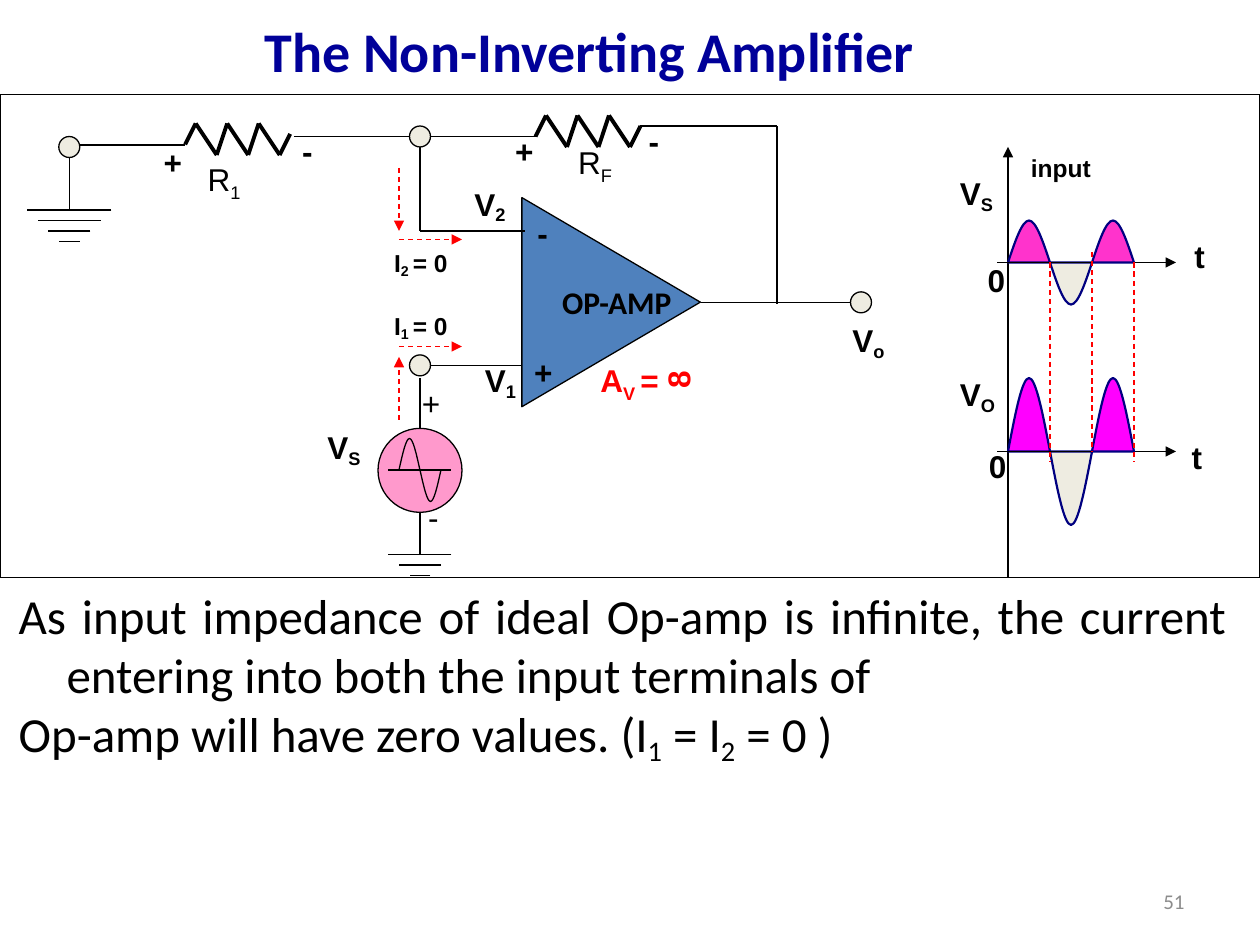
"""Build the slide on the non-inverting amplifier with its circuit and waveforms."""
import pptx
import pptx.dml.color
import pptx.enum.dml
import pptx.enum.shapes
import pptx.enum.text
import pptx.oxml.ns
import pptx.util
from lxml import etree

Inches = pptx.util.Inches
qn = pptx.oxml.ns.qn
SHAPES = pptx.enum.shapes.MSO_SHAPE
ALIGN = pptx.enum.text.PP_ALIGN
ANCHOR = pptx.enum.text.MSO_ANCHOR
GROW = pptx.enum.text.MSO_AUTO_SIZE.SHAPE_TO_FIT_TEXT
COLORS = {
    "ink": "000000", "title": "000099", "red": "FF0000", "number": "8C8C8C",
    "amplifier": "4F81BD", "cream": "EEECE1", "source": "FF99CC",
    "input": "FF33CC", "output": "FF00FF", "wave": "000080",
}


def rgb(name):
    return pptx.dml.color.RGBColor.from_string(COLORS[name])


def on_grid(length):
    """Return the length, moved to the twelfth of an inch it was rounded from."""
    nearest = round(length * 12) / 12
    return Inches(nearest if abs(nearest - length) < 0.006 else length)


def apply_format(target, values):
    for key, value in values.items():
        setattr(target, key, value)


def style(shape, fill=None, line="ink", weight=0.75):
    shape.shadow.inherit = False
    if fill:
        shape.fill.solid()
        shape.fill.fore_color.rgb = rgb(fill)
    else:
        shape.fill.background()
    shape.line.color.rgb = rgb(line)
    shape.line.width = pptx.util.Pt(weight)


def add_preset(slide, kind, left, top, width, height, fill=None):
    shape = slide.shapes.add_shape(kind, *map(on_grid, (left, top, width, height)))
    style(shape, fill)
    return shape


def add_node(slide, x, y):
    add_preset(slide, SHAPES.OVAL, x - 1 / 12, y - 1 / 12, 0.17, 0.17, "cream")


def add_wire(slide, start, end, color="ink", weight=0.75, dashed=False, arrow=False):
    wire = slide.shapes.add_connector(
        pptx.enum.shapes.MSO_CONNECTOR.STRAIGHT, *map(on_grid, (*start, *end)))
    wire.line.color.rgb = rgb(color)
    wire.line.width = pptx.util.Pt(weight)
    if dashed:
        wire.line.dash_style = pptx.enum.dml.MSO_LINE.DASH
    properties = wire._element.spPr
    if arrow:
        etree.SubElement(properties.find(qn("a:ln")), qn("a:tailEnd"), type="triangle")
    etree.SubElement(properties, qn("a:effectLst"))


def add_resistor(slide, left, top):
    xs = (0, 1, 3, 4, 6, 7, 9, 10)
    ys = (2, 0, 3, 0, 3, 0, 3, 1)
    corners = [(left + x / 12, top + y / 12) for x, y in zip(xs, ys)]
    for start, end in zip(corners, corners[1:]):
        add_wire(slide, start, end, weight=2.25)


def add_ground(slide, x, top, bars):
    for row in range(bars):
        half, y = (bars - row) / 12, top + row / 12
        add_wire(slide, (x + half, y), (x - half, y))


def add_lobe(slide, left, base, width, height, fill=None, line="wave", weight=1.25):
    """Draw half a wave with two curves, upward when height is positive."""
    x, y, w, h = map(on_grid, (left, base, width, height))
    builder = slide.shapes.build_freeform(x, y)
    builder.add_line_segments([(x + w / 2, y - h), (x + w, y)], close=fill is not None)
    lobe = builder.convert_to_shape()
    foot, peak = max(h, 0), max(-h, 0)
    middle = (foot + peak) / 2
    controls = [((w / 6, middle), (w / 3, peak)), ((w * 2 / 3, peak), (w * 5 / 6, middle))]
    for segment, handles in zip(list(lobe._element.iter(qn("a:lnTo"))), controls):
        segment.tag = qn("a:cubicBezTo")
        for index, (px, py) in enumerate(handles):
            handle = etree.Element(qn("a:pt"), x=str(round(px)), y=str(round(py)))
            segment.insert(index, handle)
    style(lobe, fill, line, weight)


def write(paragraph, text, font, drop=-18):
    """Fill a paragraph; parts between bars become subscripts."""
    for index, part in enumerate(text.split("|")):
        if part:
            run = paragraph.add_run()
            run.text = part
            apply_format(run.font, {k: v for k, v in font.items() if k != "color"})
            run.font.color.rgb = rgb(font["color"])
            if index % 2:
                run._r.get_or_add_rPr().set("baseline", str(drop * 1000))


def font_of(size, name="Arial", bold=True, color="ink"):
    return {"size": pptx.util.Pt(size), "name": name, "bold": bold, "color": color}


def add_text(slide, box, lines, font, drop=-18, frame=None, align=ALIGN.LEFT, hanging=0):
    textbox = slide.shapes.add_textbox(*map(on_grid, box))
    text_frame = textbox.text_frame
    apply_format(text_frame, {"word_wrap": True, **(frame or {})})
    for index, line in enumerate(lines):
        paragraph = text_frame.add_paragraph() if index else text_frame.paragraphs[0]
        paragraph.alignment = align
        if hanging:
            properties = paragraph._p.get_or_add_pPr()
            properties.set("marL", str(Inches(hanging)))
            properties.set("indent", str(-Inches(hanging)))
        write(paragraph, line, font, drop)
    return textbox


def add_label(slide, text, left, top, width, size=18, bold=True, color="ink", drop=-18):
    add_text(slide, (left, top, width, 0.33 if size < 18 else 0.4), [text],
             font_of(size, bold=bold, color=color), drop,
             {"word_wrap": False, "auto_size": GROW})


def add_amplifier(slide):
    amplifier = add_preset(
        slide, SHAPES.ISOSCELES_TRIANGLE, 4.02, 1.69, 1.66, 1.42, "amplifier")
    amplifier.rotation = 90
    frame = amplifier.text_frame
    apply_format(frame, {"word_wrap": False, "vertical_anchor": ANCHOR.MIDDLE})
    for key, value in {"rot": "10800000", "vert": "eaVert"}.items():
        frame._txBody.bodyPr.set(key, value)
    name = frame.paragraphs[0]
    name.alignment = ALIGN.CENTER
    name._p.get_or_add_pPr().set("marL", str(Inches(0.22)))
    write(name, "OP-AMP", font_of(18, "Calibri"))


def add_circuit(slide):
    for start, end in (
            ((3.33, 2.9), (4.17, 2.9)), ((5.56, 2.4), (6.75, 2.4)),
            ((6.17, 1), (6.17, 2.42)), ((5.08, 1), (6.17, 1)),
            ((3.33, 1.08), (3.33, 1.83)), ((3.33, 1.08), (4.25, 1.08)),
            ((0.55, 1.15), (1.47, 1.15)), ((2.33, 1.08), (3.25, 1.08)),
            ((0.55, 1.17), (0.55, 1.67)), ((3.33, 4.4), (3.33, 4.07)),
            ((3.33, 3.42), (3.33, 3))):
        add_wire(slide, start, end)
    add_amplifier(slide)
    add_wire(slide, (3.33, 1.83), (4.17, 1.83))
    add_resistor(slide, 4.25, 0.92)
    add_resistor(slide, 1.47, 0.98)
    add_ground(slide, 0.55, 1.67, 4)
    add_ground(slide, 3.33, 4.4, 3)
    for x, y in ((3.33, 2.9), (6.83, 2.4), (0.55, 1.17), (3.33, 1.08)):
        add_node(slide, x, y)
    add_preset(slide, SHAPES.OVAL, 3, 3.4, 0.67, 0.67, "source")
    for left, height in ((3.17, 0.25), (3.33, -0.25)):
        add_lobe(slide, left, 3.73, 0.17, height, line="ink", weight=0.75)
    add_wire(slide, (3.08, 3.73), (3.58, 3.73))
    for start, end in (((3.17, 1.9), (3.67, 1.9)), ((3.17, 2.75), (3.67, 2.75)),
                       ((3.17, 1.33), (3.17, 1.83)), ((3.17, 3.33), (3.17, 2.83))):
        add_wire(slide, start, end, "red", dashed=True, arrow=True)
    for label in (("-", 4.17, 1.65, 0.28), ("+", 4.14, 2.75, 0.35),
                  ("+", 3.99, 1, 0.35), ("-", 5.05, 0.92, 0.28),
                  ("-", 2.3, 1, 0.28), ("+", 1.2, 1.08, 0.35),
                  ("V|S|", 2.5, 3.35, 0.48), ("V|1|", 3.75, 2.82, 0.46),
                  ("V|2|", 3.67, 1.42, 0.46), ("V|o|", 6.67, 2.5, 0.47),
                  ("I|2 |= 0", 3.03, 1.92, 0.63, 14), ("I|1 |= 0", 3.03, 2.42, 0.63, 14),
                  ("+", 3.25, 3, 0.35, 18, False), ("-", 3.3, 3.9, 0.28, 18, False),
                  ("R|F|", 4.49, 1.08, 0.51, 18, False, "ink", -25),
                  ("R|1|", 1.55, 1.22, 0.5, 18, False, "ink", -25),
                  ("A|V |=", 4.67, 2.82, 0.78, 18, True, "red", -25)):
        add_label(slide, *label)
    infinity = add_text(slide, (5.2, 2.8, 0.36, 0.4), ["8"], font_of(18, color="red"),
                        frame={"auto_size": GROW})
    infinity.rotation = 270


def add_waveforms(slide):
    add_wire(slide, (8, 4.58), (8, 1.17), arrow=True)
    for base, height, fill in ((2.08, 0.33, "input"), (3.58, 0.58, "output")):
        add_lobe(slide, 8, base, 0.33, height, fill)
        add_lobe(slide, 8.33, base, 0.33, -height, "cream")
        add_wire(slide, (7.92, base), (9.33, base), arrow=True)
        add_lobe(slide, 8.67, base, 0.33, height, fill)
    for x, top, bottom in ((8.33, 2.08, 3.67), (8.67, 2, 3.58), (9, 2.08, 3.67)):
        add_wire(slide, (x, top), (x, bottom), "red", dashed=True)
    for label in (("input", 8.08, 1.17, 0.69, 14), ("t", 9.36, 3.43, 0.28),
                  ("t", 9.38, 1.83, 0.28), ("0", 7.74, 2.02, 0.34),
                  ("0", 7.75, 3.5, 0.34), ("V|S|", 7.52, 1.33, 0.48),
                  ("V|O|", 7.52, 2.93, 0.5)):
        add_label(slide, *label)


def main():
    deck = pptx.Presentation()
    apply_format(deck, {"slide_width": Inches(10), "slide_height": Inches(7.5)})
    slide = deck.slides.add_slide(deck.slide_layouts[6])
    add_preset(slide, SHAPES.RECTANGLE, 0, 0.75, 10, 3.83)
    add_circuit(slide)
    add_waveforms(slide)
    add_text(slide, (0.05, 4.6, 9.78, 1.51), [
        "As input impedance of ideal Op-amp is infinite, the current entering "
        "into both the input terminals of ",
        "Op-amp will have zero values. (I|1| = I|2| = 0 )",
    ], font_of(28, "Calibri", False), frame={"auto_size": GROW},
        align=ALIGN.JUSTIFY, hanging=0.38)
    add_text(slide, (2, 0.08, 5.67, 0.75), ["The Non-Inverting Amplifier"],
             font_of(32, "Calibri", color="title"))
    add_text(slide, (7.17, 6.95, 2.33, 0.4), ["51"],
             font_of(12, "Calibri", False, "number"),
             frame={"vertical_anchor": ANCHOR.MIDDLE}, align=ALIGN.RIGHT)
    deck.save("out.pptx")


if __name__ == "__main__":
    main()
